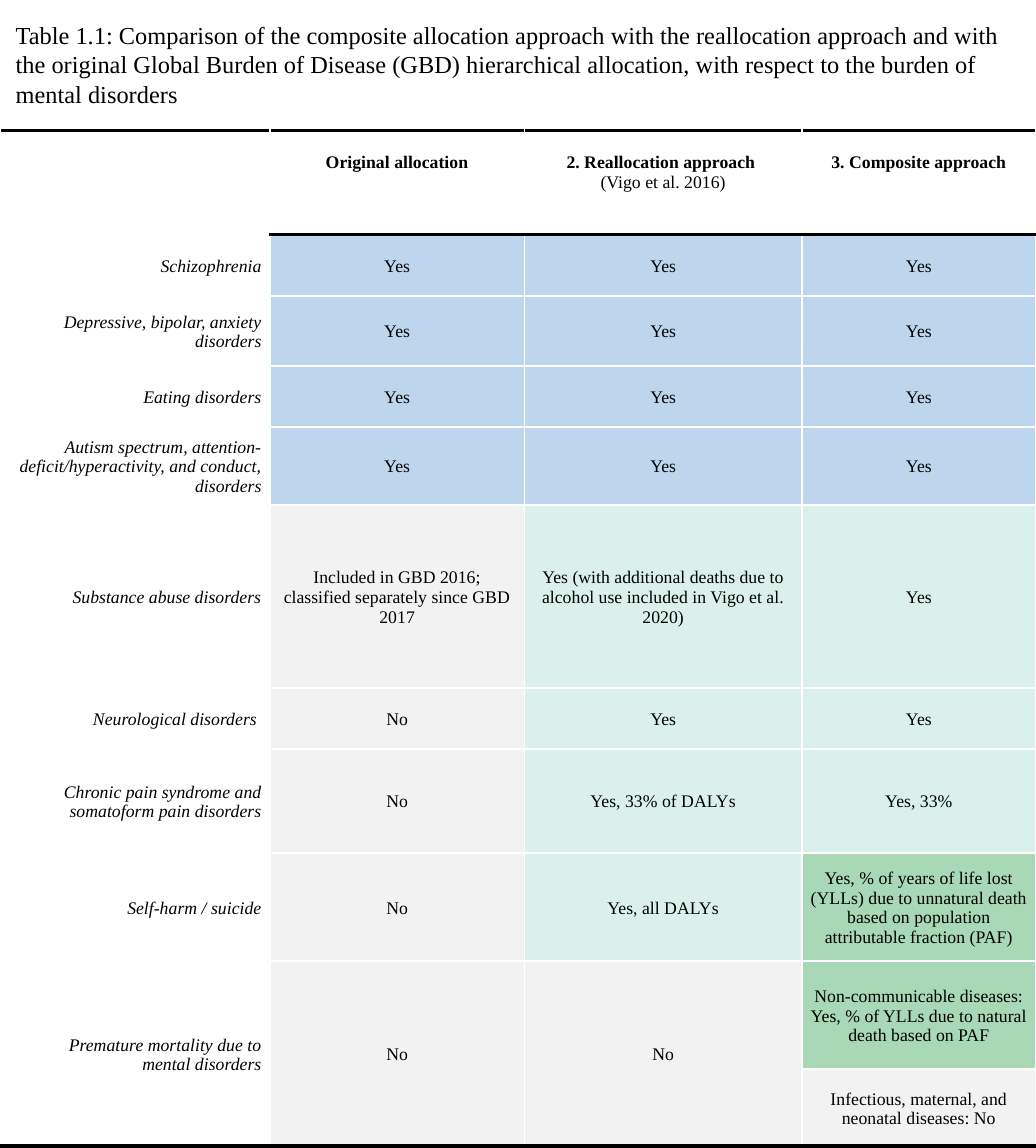
from lxml.etree import SubElement
from pptx import Presentation
from pptx.dml.color import RGBColor
from pptx.enum.text import MSO_ANCHOR as Anchor, PP_ALIGN as Align
from pptx.oxml.ns import qn
from pptx.util import Cm, Pt

BLACK = RGBColor(0x00, 0x00, 0x00)
WHITE = RGBColor(0xFF, 0xFF, 0xFF)
BLUE = RGBColor(0xBD, 0xD6, 0xEE)
GREY = RGBColor(0xF2, 0xF2, 0xF2)
MINT = RGBColor(0xD9, 0xF1, 0xEA)
GREEN = RGBColor(0xA9, 0xD8, 0xB7)

TITLE = ("Table 1.1: Comparison of the composite allocation approach with the "
         "reallocation approach and with the original Global Burden of Disease (GBD) "
         "hierarchical allocation, with respect to the burden of mental disorders")
COLS = [4.3, 4.06, 4.42, 3.73]
HEIGHTS = [1.66, 0.97, 1.12, 0.97, 1.24, 2.92, 0.97, 1.66, 1.72, 1.72, 1.24]
HEADERS = [[], ["Original allocation"],
           ["2. Reallocation approach ", "(Vigo et al. 2016)"],
           ["3. Composite approach"]]
ALL_YES = [("Yes", BLUE)] * 3
NO, YES = ("No", GREY), ("Yes", MINT)
ROWS = [
    ("Schizophrenia", ALL_YES),
    ("Depressive, bipolar, anxiety disorders", ALL_YES),
    ("Eating disorders", ALL_YES),
    ("Autism spectrum, attention-deficit/hyperactivity, and conduct, disorders", ALL_YES),
    ("Substance abuse disorders", [
        ("Included in GBD 2016; classified separately since GBD 2017", GREY),
        ("Yes (with additional deaths due to alcohol use included in Vigo et al. 2020)", MINT),
        YES]),
    ("Neurological disorders ", [NO, YES, YES]),
    ("Chronic pain syndrome and somatoform pain disorders", [
        NO, ("Yes, 33% of DALYs", MINT), ("Yes, 33%", MINT)]),
    ("Self-harm / suicide", [
        NO, ("Yes, all DALYs", MINT),
        ("Yes, % of years of life lost (YLLs) due to unnatural death based on "
         "population attributable fraction (PAF)", GREEN)]),
    ("Premature mortality due to\nmental disorders", [
        NO, NO,
        ("Non-communicable diseases: Yes, % of YLLs due to natural death based on PAF", GREEN)]),
]
INFECTIOUS = "Infectious, maternal, and neonatal diseases: No"


class Deck:
    """Holds the text style and the current slide."""

    def __init__(self, prs, font="Times New Roman"):
        self.font = font
        self.s = prs.slides.add_slide(prs.slide_layouts[6])

    def run(self, p, text, size=8, bold=False, italic=False):
        r = p.add_run()
        r.text = text
        f = r.font
        f.name, f.size, f.bold, f.italic = self.font, Pt(size), bold, italic
        f.color.rgb = BLACK

    def title(self, text, x, y, w, h):
        tf = self.s.shapes.add_textbox(Cm(x), Cm(y), Cm(w), Cm(h)).text_frame
        tf.word_wrap = True
        self.run(tf.paragraphs[0], text, size=11)

    def table(self, x, y, cols, heights):
        frame = self.s.shapes.add_table(len(heights), len(cols), Cm(x), Cm(y),
                                        Cm(sum(cols)), Cm(sum(heights)))
        tbl = frame.table
        tbl.first_row = tbl.horz_banding = False
        for col, w in zip(tbl.columns, cols):
            col.width = Cm(w)
        for row, h in zip(tbl.rows, heights):
            row.height = Cm(h)
        return tbl

    def borders(self, cell, top=(WHITE, 1), bottom=(WHITE, 1)):
        tc_pr = cell._tc.get_or_add_tcPr()
        sides = {"L": (WHITE, 1), "R": (WHITE, 1), "T": top, "B": bottom}
        for side, (color, width) in sides.items():
            ln = SubElement(tc_pr, qn(f"a:ln{side}"), w=str(Pt(width)))
            SubElement(SubElement(ln, qn("a:solidFill")), qn("a:srgbClr"), val=str(color))
        cell.fill.background()

    def cell(self, cell, lines, fill=None, align=Align.CENTER, anchor=Anchor.MIDDLE,
             top=0.03, gap=0, bold_first=False, italic=False):
        cell.margin_left = cell.margin_right = Cm(0.13)
        cell.margin_top, cell.margin_bottom = Cm(top), 0
        cell.vertical_anchor = anchor
        if fill is not None:
            cell.fill.solid()
            cell.fill.fore_color.rgb = fill
        tf = cell.text_frame
        for i, line in enumerate(lines):
            p = tf.add_paragraph() if i else tf.paragraphs[0]
            p.alignment = align
            p.space_before = p.space_after = Pt(gap)
            self.run(p, line, bold=bold_first and i == 0, italic=italic)


def main():
    prs = Presentation()
    prs.slide_width, prs.slide_height = Cm(16.51), Cm(18.29)
    deck = Deck(prs)
    tbl = deck.table(0, 2.08, COLS, HEIGHTS)

    last = len(HEIGHTS) - 1
    thin, rule, thick = (WHITE, 1), (BLACK, 1.5), (BLACK, 3)
    for i in range(len(HEIGHTS)):
        for j in range(len(COLS)):
            under_header = rule if j else (WHITE, 3)
            top = {0: rule, 1: under_header}.get(i, thin)
            ends_table = i == last or (i == last - 1 and j < 3)
            bottom = under_header if i == 0 else thick if ends_table else thin
            deck.borders(tbl.cell(i, j), top, bottom)
    for j in range(3):
        tbl.cell(last - 1, j).merge(tbl.cell(last, j))

    for j, lines in enumerate(HEADERS):
        deck.cell(tbl.cell(0, j), lines, anchor=Anchor.TOP, top=0.35, bold_first=True)
    for i, (label, answers) in enumerate(ROWS, 1):
        lines = label.split("\n")
        deck.cell(tbl.cell(i, 0), lines, align=Align.RIGHT, italic=True,
                  gap=6 if len(lines) == 1 else 0)
        for j, (text, fill) in enumerate(answers, 1):
            deck.cell(tbl.cell(i, j), [text], fill, gap=6)
    deck.cell(tbl.cell(last, 3), [INFECTIOUS], GREY, gap=6)

    deck.title(TITLE, 0, 0.2, 16.51, 1.68)
    prs.save("out.pptx")


if __name__ == "__main__":
    main()
